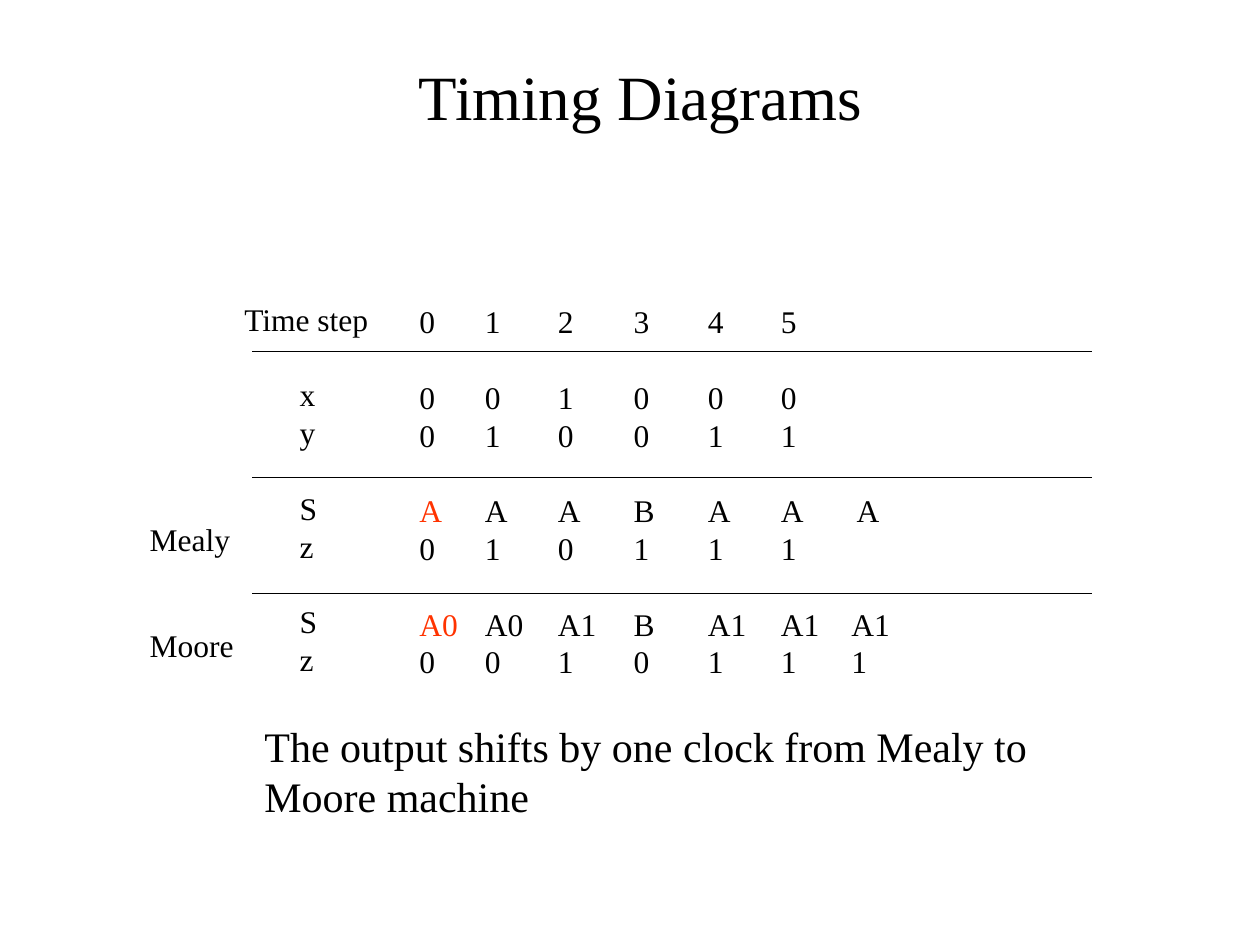
from dataclasses import dataclass

from lxml.etree import SubElement
from pptx import Presentation
from pptx.dml.color import RGBColor
from pptx.enum.shapes import MSO_CONNECTOR
from pptx.enum.text import MSO_ANCHOR, MSO_AUTO_SIZE, PP_ALIGN
from pptx.oxml.ns import qn
from pptx.slide import Slide
from pptx.util import Inches, Pt

COLORS = {"ink": "000000", "initial": "FF3300"}
FONT = "Times New Roman"
LINE_FACTOR = 1.2
GROUP_STARTS = (1, 3, 5)  # rows that open the inputs, Mealy and Moore groups
NAME_INDENT = 0.44


@dataclass
class TextBlock:
    left: float
    top: float
    width: float
    height: float
    lines: list[str]
    size: float = 18
    red_rows: tuple[int, ...] = ()
    indented: bool = False


@dataclass
class TimeStep:
    left: float
    width: float
    values: str
    red_rows: tuple[int, ...] = ()


STEPS = [
    TimeStep(3.23, 0.5, "0 0 0 A 0 A0 0", red_rows=(3, 5)),
    TimeStep(3.75, 0.5, "1 0 1 A 1 A0 0"),
    TimeStep(4.33, 0.5, "2 1 0 A 0 A1 1"),
    TimeStep(4.93, 0.36, "3 0 0 B 1 B 0"),
    TimeStep(5.52, 0.5, "4 0 1 A 1 A1 1"),
    TimeStep(6.1, 0.5, "5 0 1 A 1 A1 1"),
]
BLOCKS = [
    TextBlock(1.84, 2.33, 1.19, 3.1,
              ["Time step", "x", "y", "S", "z", "S", "z"], indented=True),
    *(TextBlock(step.left, 2.35, step.width, 3.1, step.values.split(),
                red_rows=step.red_rows) for step in STEPS),
    TextBlock(1.09, 4.08, 0.84, 0.4, ["Mealy"]),
    TextBlock(1.09, 4.92, 0.86, 0.4, ["Moore"]),
    TextBlock(2, 5.67, 6.62, 0.9,
              ["The output shifts by one clock from Mealy to Moore machine"],
              size=24),
    TextBlock(6.7, 3.85, 0.38, 0.4, ["A"]),
    TextBlock(6.66, 4.75, 0.5, 0.7, ["A1", "1"]),
]
RULE_TOPS = (2.79, 3.79, 4.71)


def add_span(para, text: str, size: float, color: str) -> None:
    span = para.add_run()
    span.text = text
    span.font.name = FONT
    span.font.size = Pt(size)
    span.font.color.rgb = RGBColor.from_string(COLORS[color])


def set_title(slide: Slide, text: str) -> None:
    title = slide.shapes.title
    title.left, title.top = Inches(0.92), Inches(0.42)
    title.width, title.height = Inches(8.33), Inches(0.67)
    frame = title.text_frame
    frame.vertical_anchor = MSO_ANCHOR.MIDDLE
    frame.auto_size = MSO_AUTO_SIZE.NONE
    para = frame.paragraphs[0]
    para.alignment = PP_ALIGN.CENTER
    add_span(para, text, 36, "ink")


def add_block(slide: Slide, block: TextBlock) -> None:
    """Draw a column of lines, with a one-line gap before each row group."""
    box = slide.shapes.add_textbox(Inches(block.left), Inches(block.top),
                                   Inches(block.width), Inches(block.height))
    frame = box.text_frame
    frame.word_wrap = True
    frame.auto_size = MSO_AUTO_SIZE.NONE
    frame.margin_right = 0  # narrow boxes need the room for two characters
    line_height = Pt(block.size * LINE_FACTOR)
    is_column = len(block.lines) > 2
    for row, text in enumerate(block.lines):
        para = frame.add_paragraph() if row else frame.paragraphs[0]
        para.line_spacing = line_height
        if is_column and row in GROUP_STARTS:
            para.space_before = line_height
        if block.indented and row:
            properties = para._p.get_or_add_pPr()
            properties.set("marL", str(Inches(NAME_INDENT)))
            properties.set("indent", "0")
        add_span(para, text, block.size,
                 "initial" if row in block.red_rows else "ink")


def add_rule(slide: Slide, top: float) -> None:
    rule = slide.shapes.add_connector(MSO_CONNECTOR.STRAIGHT, Inches(2),
                                      Inches(top), Inches(8.67), Inches(top))
    rule.line.color.rgb = RGBColor.from_string(COLORS["ink"])
    rule.line.width = Pt(0.75)
    SubElement(rule._element.spPr, qn("a:effectLst"))


def main() -> None:
    deck = Presentation()
    deck.slide_width, deck.slide_height = Inches(10), Inches(7.5)
    page = deck.slides.add_slide(deck.slide_layouts[5])
    set_title(page, "Timing Diagrams")
    for block in BLOCKS:
        add_block(page, block)
    for top in RULE_TOPS:
        add_rule(page, top)
    deck.save("out.pptx")


if __name__ == "__main__":
    main()
